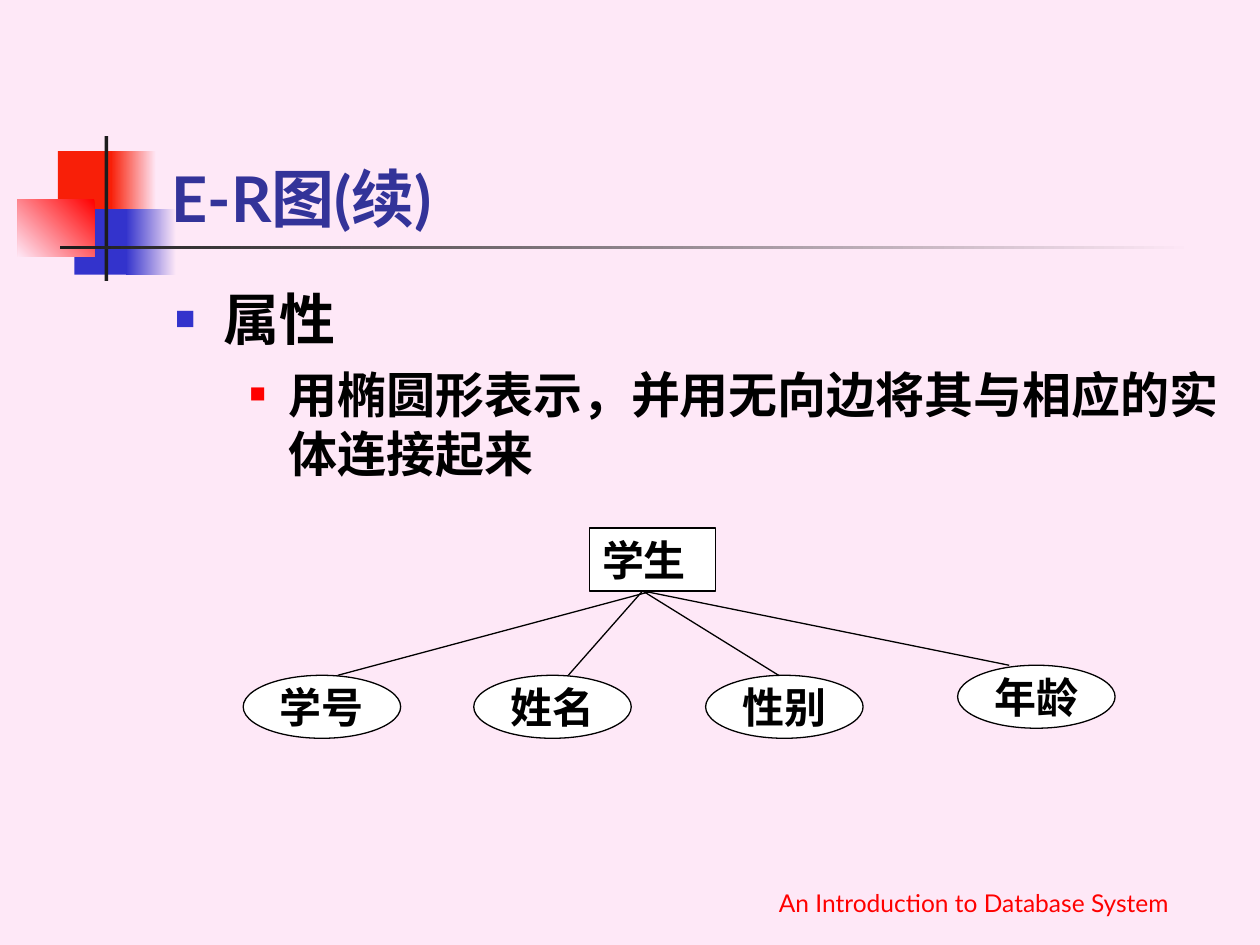
"""Build the slide on attributes in an entity-relationship diagram."""
from dataclasses import dataclass

from lxml.etree import SubElement
from pptx import Presentation
from pptx.dml.color import RGBColor
from pptx.enum.shapes import MSO_CONNECTOR, MSO_SHAPE
from pptx.enum.text import MSO_ANCHOR, MSO_AUTO_SIZE, PP_ALIGN
from pptx.oxml.ns import qn
from pptx.util import Inches, Pt

PINK, BLACK, WHITE, RED = "FEE8F7", "000000", "FFFFFF", "FF0000"
ORANGE_RED, BLUE, CHARCOAL = "F81F08", "3333CC", "1C1C1C"


@dataclass
class Bar:
    left: float
    top: float
    width: float
    height: float
    colors: tuple[str, ...]
    angle: int = 180


@dataclass
class Bullet:
    text: str
    level: int
    size: int
    margin: float
    indent: float
    before: int
    color: str
    percent: int


@dataclass
class Attribute:
    name: str
    left: float
    top: float
    line_start: float
    line_end: float


BARS = [
    Bar(0.46, 1.2, 0.48, 0.52, (ORANGE_RED,)),
    Bar(0.88, 1.2, 0.36, 0.52, (PINK, ORANGE_RED)),
    Bar(0.59, 1.66, 0.46, 0.52, (BLUE,)),
    Bar(1, 1.66, 0.4, 0.52, (PINK, BLUE)),
    Bar(0.14, 1.58, 0.61, 0.46, (RED, PINK), 225),
    Bar(0.83, 1.08, 0.03, 1.15, (CHARCOAL,)),
    Bar(0.48, 1.95, 9, 0.03, (PINK, CHARCOAL)),
]
BULLETS = [
    Bullet("属性", 0, 32, 0.38, -0.38, 8, BLUE, 60),
    Bullet("用椭圆形表示，并用无向边将其与相应的实体连接起来", 1, 28, 0.9, -0.31, 7, RED, 55),
]
ATTRIBUTES = [
    Attribute("学号", 1.93, 5.36, 5.18, 2.68),
    Attribute("姓名", 3.76, 5.36, 5.1, 4.51),
    Attribute("性别", 5.6, 5.36, 5.1, 6.18),
    Attribute("年龄", 7.6, 5.28, 5.1, 8.01),
]
ENTITY_BOTTOM = 4.69


def color(value: str) -> RGBColor:
    """Turn a hex string into a colour."""
    return RGBColor.from_string(value)


def place(shape, left: float, top: float, width: float, height: float) -> None:
    """Move and size a shape, in inches."""
    values = {"left": left, "top": top, "width": width, "height": height}
    for name, value in values.items():
        setattr(shape, name, Inches(value))


def write(para, text: str, size: int, font: str, ink: str, bold: bool = True) -> None:
    """Add one formatted span to a paragraph."""
    span = para.add_run()
    span.text = text
    for name, value in {"size": Pt(size), "name": font, "bold": bold}.items():
        setattr(span.font, name, value)
    span.font.color.rgb = color(ink)


def format_frame(frame, **values) -> None:
    """Set attributes of a text frame."""
    for name, value in values.items():
        setattr(frame, name, value)


def draw_bar(page, bar: Bar) -> None:
    """Draw one plain or graded rectangle of the decoration."""
    shape = page.shapes.add_shape(MSO_SHAPE.RECTANGLE, 0, 0, 0, 0)
    place(shape, bar.left, bar.top, bar.width, bar.height)
    shape.shadow.inherit = False
    shape.line.fill.background()
    if len(bar.colors) == 1:
        shape.fill.solid()
        shape.fill.fore_color.rgb = color(bar.colors[0])
        return
    shape.fill.gradient()
    shape.fill.gradient_angle = bar.angle
    for stop, value in zip(shape.fill.gradient_stops, bar.colors):
        stop.color.rgb = color(value)


def draw_node(page, kind: MSO_SHAPE, name: str, left: float, top: float, width: float):
    """Draw a white outlined node with its name and return it."""
    node = page.shapes.add_shape(kind, 0, 0, 0, 0)
    place(node, left, top, width, 0.5)
    node.shadow.inherit = False
    node.fill.solid()
    node.fill.fore_color.rgb = color(WHITE)
    node.line.color.rgb = color(BLACK)
    node.line.width = Pt(0.75)
    format_frame(node.text_frame, word_wrap=False, vertical_anchor=MSO_ANCHOR.MIDDLE)
    para = node.text_frame.paragraphs[0]
    para.alignment = PP_ALIGN.CENTER
    write(para, name, 24, "Times New Roman", BLACK)
    return node


def draw_edge(page, attribute: Attribute) -> None:
    """Join an attribute to the entity."""
    ends = (attribute.line_start, ENTITY_BOTTOM, attribute.line_end, attribute.top)
    edge = page.shapes.add_connector(MSO_CONNECTOR.STRAIGHT, *map(Inches, ends))
    edge.line.color.rgb = color(BLACK)
    edge.line.width = Pt(0.75)
    SubElement(edge._element.spPr, qn("a:effectLst"))


def write_bullet(para, bullet: Bullet) -> None:
    """Write a list item with a coloured square bullet."""
    para.level = bullet.level
    para.space_before = Pt(bullet.before)
    properties = para._p.get_or_add_pPr()
    properties.set("marL", str(Inches(bullet.margin)))
    properties.set("indent", str(Inches(bullet.indent)))
    tint = SubElement(properties, qn("a:buClr"))
    SubElement(tint, qn("a:srgbClr"), val=bullet.color)
    SubElement(properties, qn("a:buSzPct"), val=str(bullet.percent * 1000))
    SubElement(properties, qn("a:buChar"), char="■")
    write(para, bullet.text, bullet.size, "Lato", BLACK)


def main() -> None:
    """Build and save the deck."""
    deck = Presentation()
    deck.slide_width, deck.slide_height = Inches(10), Inches(7.5)
    page = deck.slides.add_slide(deck.slide_layouts[1])
    page.background.fill.solid()
    page.background.fill.fore_color.rgb = color(PINK)
    for bar in BARS:
        draw_bar(page, bar)

    title, body = page.placeholders
    for holder in (title, body):
        page.shapes._spTree.append(holder._element)
    place(title, 1.26, 0.67, 8.52, 1.25)
    format_frame(title.text_frame, vertical_anchor=MSO_ANCHOR.BOTTOM, auto_size=MSO_AUTO_SIZE.NONE)
    heading = title.text_frame.paragraphs[0]
    heading.alignment = PP_ALIGN.LEFT
    write(heading, "E-R图(续)", 36, "Lato", "333399")

    place(body, 1.29, 2.21, 8.5, 4.5)
    frame = body.text_frame
    format_frame(frame, auto_size=MSO_AUTO_SIZE.NONE)
    frame.add_paragraph()
    for para, bullet in zip(frame.paragraphs, BULLETS):
        write_bullet(para, bullet)

    entity = draw_node(page, MSO_SHAPE.RECTANGLE, "学生", 4.68, 4.19, 1)
    format_frame(entity.text_frame, word_wrap=True, vertical_anchor=MSO_ANCHOR.TOP)
    entity.text_frame.paragraphs[0].alignment = PP_ALIGN.LEFT
    for attribute in ATTRIBUTES:
        draw_node(page, MSO_SHAPE.OVAL, attribute.name, attribute.left, attribute.top, 1.25)
    for attribute in ATTRIBUTES:
        draw_edge(page, attribute)

    footer = page.shapes.add_textbox(0, 0, 0, 0)
    place(footer, 5.71, 6.83, 4.04, 0.5)
    format_frame(footer.text_frame, word_wrap=True, vertical_anchor=MSO_ANCHOR.BOTTOM)
    credit = footer.text_frame.paragraphs[0]
    credit.alignment = PP_ALIGN.CENTER
    write(credit, "An Introduction to Database System", 14, "Lato", RED, False)
    deck.save("out.pptx")


if __name__ == "__main__":
    main()
